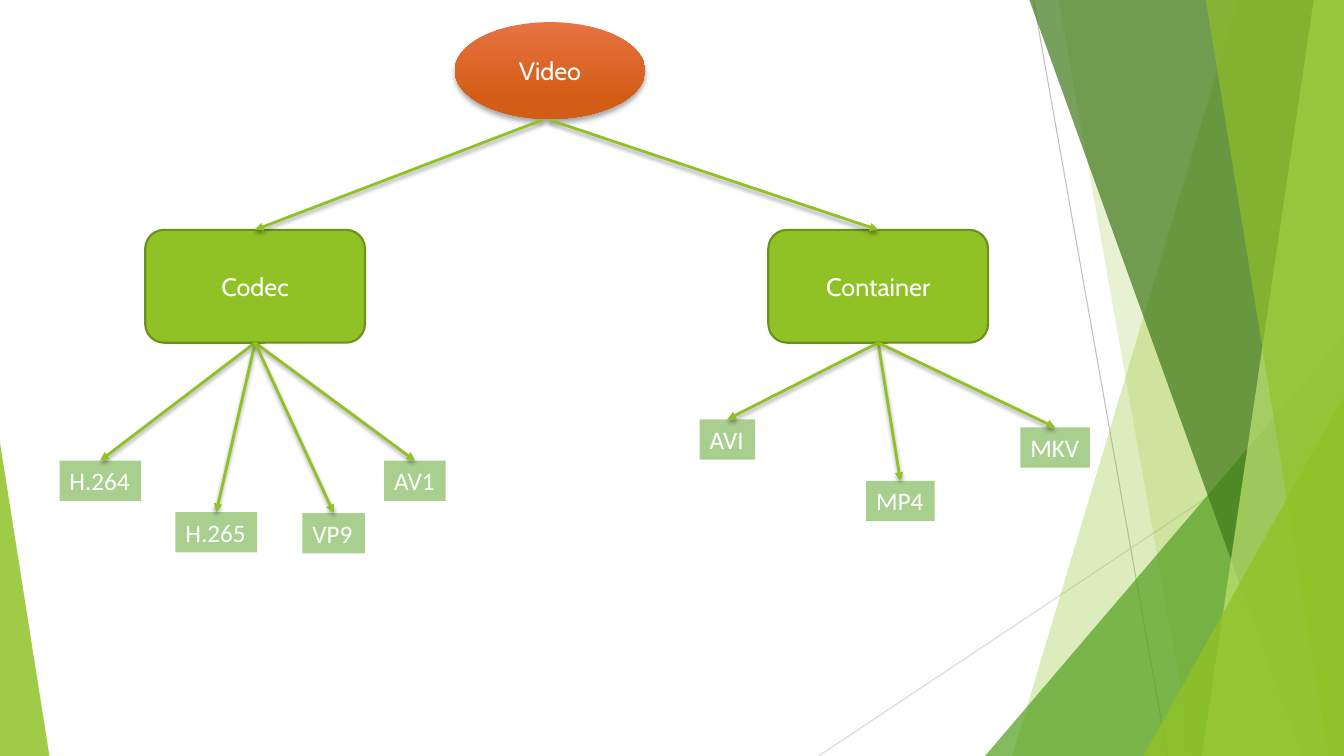
from lxml import etree
from pptx import Presentation
from pptx import util as u
from pptx.dml.color import RGBColor
from pptx.enum import shapes, text
from pptx.oxml import ns

GREEN, LEAF, FOREST = "90C226", "54A021", "3F7819"
KINDS = shapes.MSO_SHAPE


def paint(target, colour, alpha=100):
    target.solid()
    target.fore_color.rgb = RGBColor.from_string(colour)
    if alpha < 100:
        value = target._xPr.find(".//" + ns.qn("a:srgbClr"))
        etree.SubElement(value, ns.qn("a:alpha"), val=str(alpha * 1000))


class TreeSlide:
    """Draws the styled elements of a tree diagram on one slide."""

    def __init__(self, deck):
        self.page = deck.slides.add_slide(deck.slide_layouts[6])
        self.items = self.page.shapes

    def effects(self, item, blur=0, distance=0):
        item_effects = etree.SubElement(item.element.spPr, ns.qn("a:effectLst"))
        if blur:
            shadow = etree.SubElement(
                item_effects, ns.qn("a:outerShdw"), blurRad=str(u.Pt(blur)),
                dist=str(u.Pt(distance)), dir="5400000", rotWithShape="0")
            colour = etree.SubElement(shadow, ns.qn("a:srgbClr"), val="000000")
            etree.SubElement(colour, ns.qn("a:alpha"), val="35000")

    def label(self, box, words, font, align):
        para = box.text_frame.paragraphs[0]
        para.alignment = align
        span = para.add_run()
        span.text = words
        span.font.size, span.font.name = u.Pt(18), font
        span.font.color.rgb = RGBColor.from_string("FFFFFF")

    def shape(self, kind, place):
        box = self.items.add_shape(kind, *map(u.Inches, place))
        box.line.fill.background()
        return box

    def facet(self, points, colour, alpha):
        corners = [(u.Inches(x), u.Inches(y)) for x, y in points]
        builder = self.items.build_freeform(*corners[0])
        builder.add_line_segments(corners[1:], close=True)
        box = builder.convert_to_shape()
        box.line.fill.background()
        paint(box.fill, colour, alpha)
        self.effects(box)

    def triangle(self, place, peak, colour, alpha):
        box = self.shape(KINDS.ISOSCELES_TRIANGLE, place)
        box.adjustments[0] = peak
        paint(box.fill, colour, alpha)
        self.effects(box)

    def root(self, words, place):
        box = self.shape(KINDS.OVAL, place)
        box.fill.gradient()
        box.fill.gradient_angle = 270
        stops = zip(box.fill.gradient_stops, (0, 0.78), ("E87242", "D35D16"))
        for stop, position, colour in stops:
            stop.position = position
            stop.color.rgb = RGBColor.from_string(colour)
        self.effects(box, 4, 3)
        self.label(box, words, "Cabin", text.PP_ALIGN.CENTER)

    def branch(self, words, place):
        box = self.shape(KINDS.ROUNDED_RECTANGLE, place)
        paint(box.fill, GREEN)
        paint(box.line.fill, "6B901C")
        box.line.width = u.Pt(1.5)
        self.effects(box)
        self.label(box, words, "Cabin", text.PP_ALIGN.CENTER)
        return box

    def leaf(self, words, left, top, width):
        box = self.items.add_textbox(*map(u.Inches, (left, top, width, 0.4)))
        box.text_frame.word_wrap = False
        box.text_frame.auto_size = text.MSO_AUTO_SIZE.SHAPE_TO_FIT_TEXT
        paint(box.fill, LEAF, 50)
        self.label(box, words, "Calibri", text.PP_ALIGN.LEFT)
        return box

    def line(self, start, end, colour, width):
        link = self.items.add_connector(
            shapes.MSO_CONNECTOR.STRAIGHT, *map(u.Inches, start + end))
        paint(link.line.fill, colour)
        link.line.width = u.Pt(width)
        return link

    def arrow(self, target, parent=None, start=(0, 0)):
        link = self.line(start, (0, 0), GREEN, 2)
        if parent is not None:
            link.begin_connect(parent, 2)
        link.end_connect(target, 0)
        outline = link.element.spPr.find(ns.qn("a:ln"))
        etree.SubElement(outline, ns.qn("a:tailEnd"), type="triangle")
        self.effects(link, 3, 2)

    def backdrop(self):
        for start, end, colour in (((10.25, 0), (11.58, 7.5), "BFBFBF"),
                                   ((13.33, 4.03), (8.12, 7.5), "D9D9D9")):
            self.effects(self.line(start, end, colour, 0.75))
        facets = [(12.28, 10.04, GREEN, 30), (10.5, 11.83, GREEN, 20),
                  (10.21, 12.91, FOREST, 70), (13.03, 11.92, "C0E474", 70),
                  (11.96, 13.18, GREEN, 65)]
        for number, (top, bottom, colour, alpha) in enumerate(facets):
            if number == 2:
                self.triangle((9.77, 3.33, 3.56, 4.17), 1, LEAF, 72)
            corners = [(top, 0), (13.33, 0), (13.33, 7.5), (bottom, 7.5)]
            self.facet(corners, colour, alpha)
        self.triangle((11.34, 3.93, 1.99, 3.57), 1, GREEN, 80)
        self.triangle((0, 4.39, 0.49, 3.11), 0, GREEN, 85)


def main():
    deck = Presentation()
    deck.slide_width, deck.slide_height = u.Inches(13.33), u.Inches(7.5)
    slide = TreeSlide(deck)
    slide.backdrop()
    slide.root("Video", (4.51, 0.22, 1.89, 0.96))
    tree = [
        ("Codec", 1.44, 5.38, [("H.264", 0.59, 4.57, 0.81), ("AV1", 3.81, 4.57, 0.61),
                               ("H.265", 1.74, 5.08, 0.81), ("VP9", 3, 5.09, 0.62)]),
        ("Container", 7.62, 5.45, [("AVI", 6.94, 4.16, 0.55), ("MP4", 8.59, 4.77, 0.68),
                                   ("MKV", 10.12, 4.24, 0.69)]),
    ]
    for name, left, origin, leaves in tree:
        branch = slide.branch(name, (left, 2.28, 2.18, 1.12))
        slide.arrow(branch, start=(origin, 1.19))
        for leaf in leaves:
            slide.arrow(slide.leaf(*leaf), branch)
    deck.save("out.pptx")


if __name__ == "__main__":
    main()
